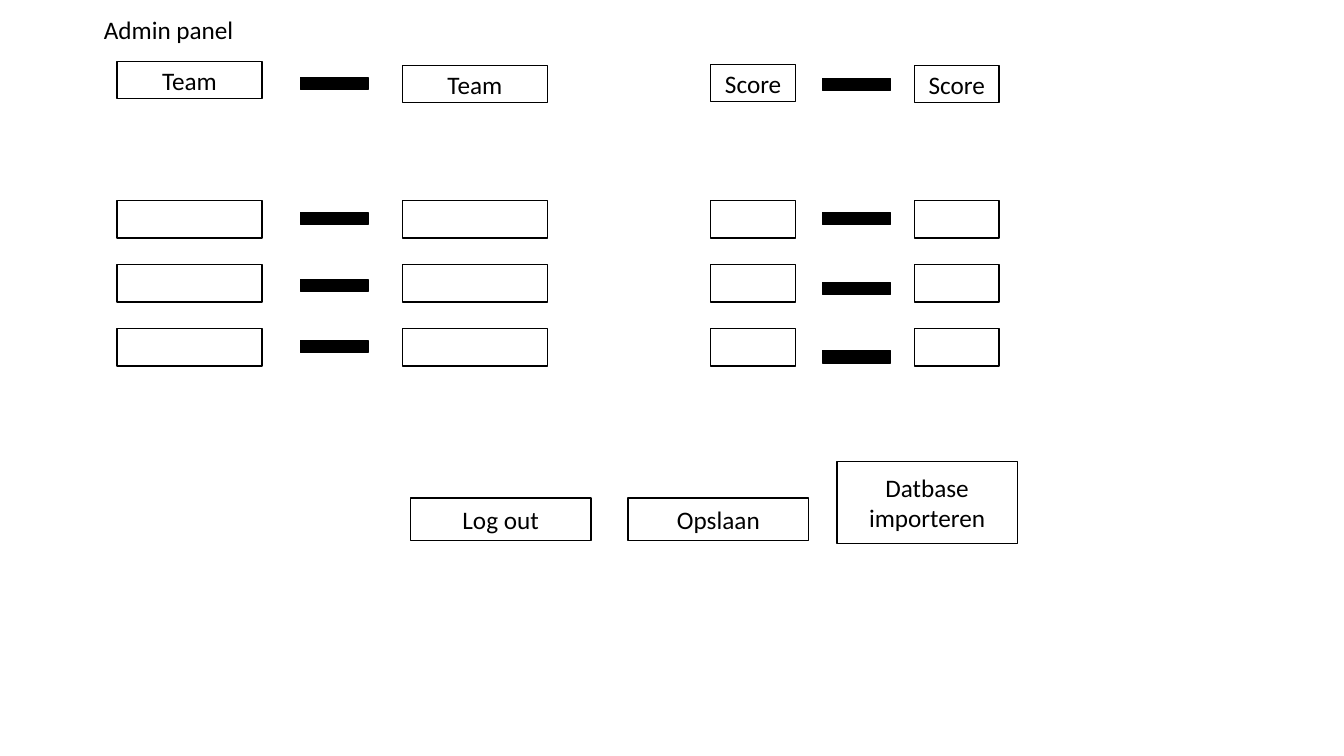
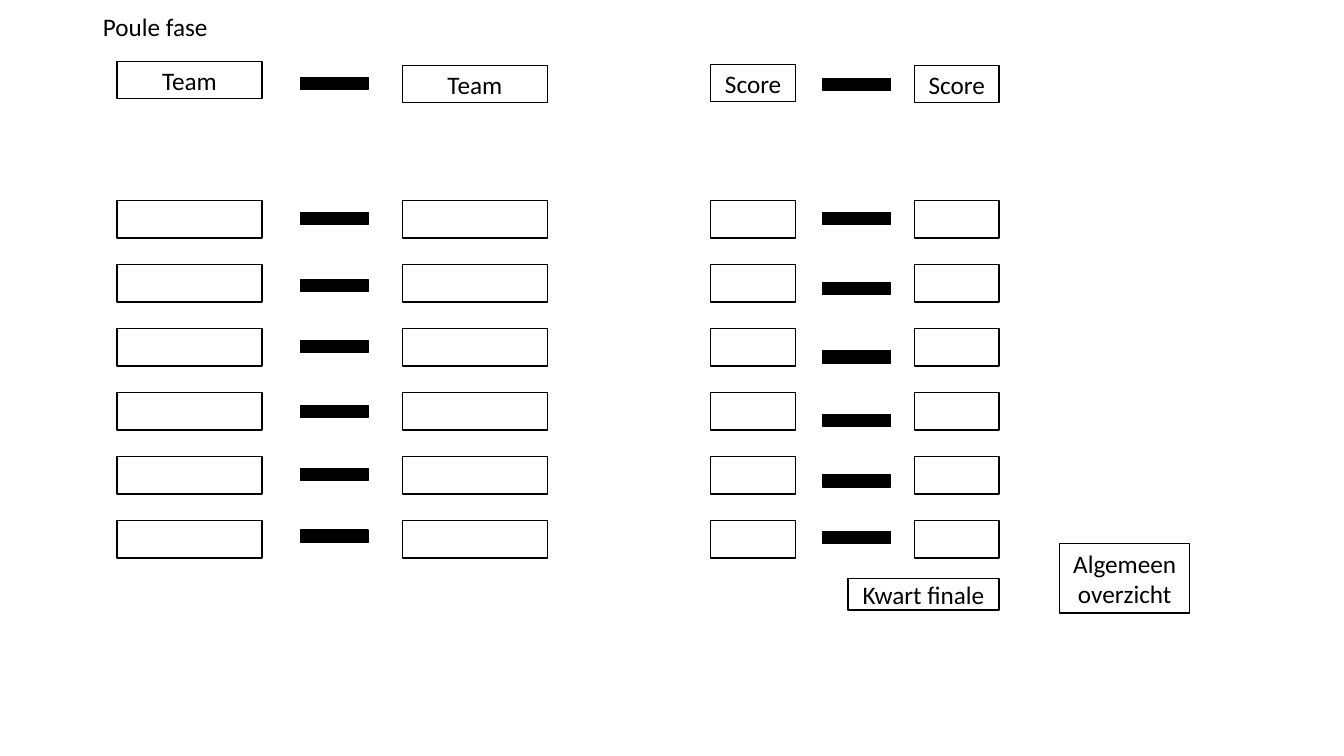
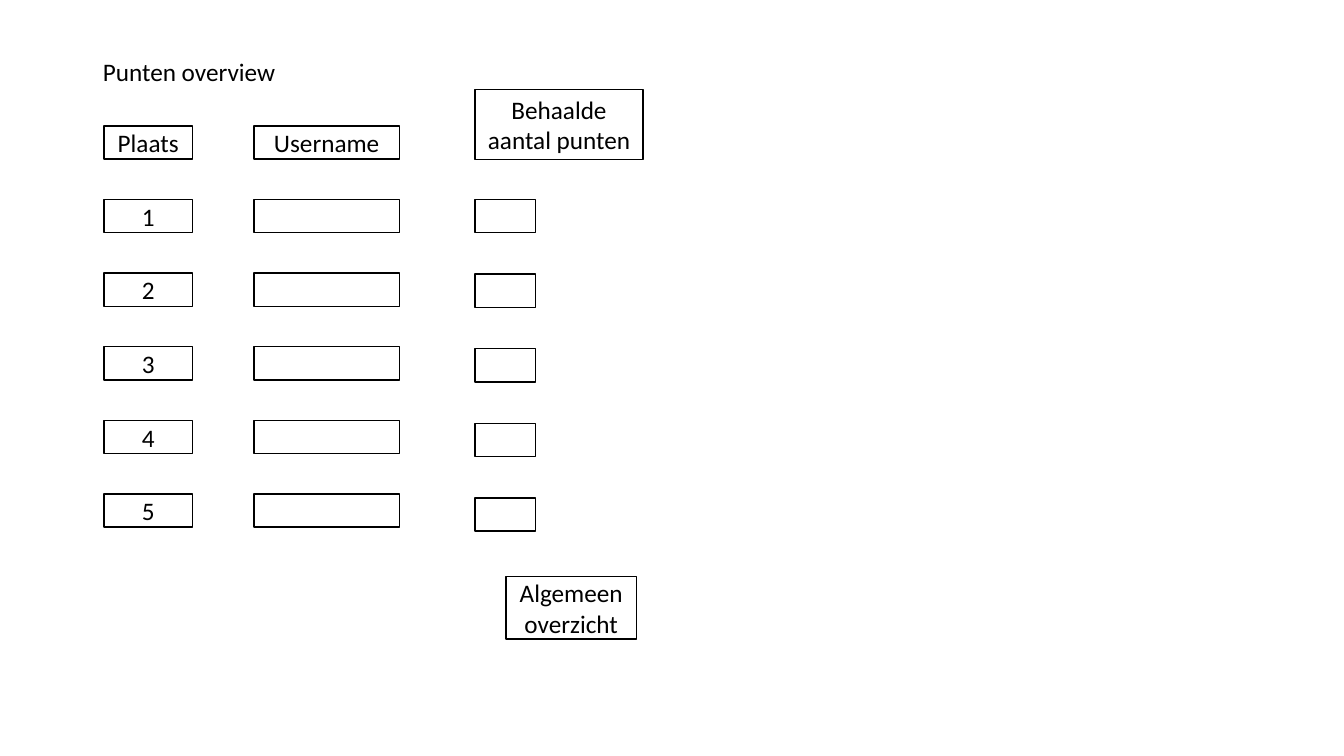
import pptx
import pptx.dml.color
import pptx.enum.shapes
import pptx.enum.text
import pptx.oxml.ns
import pptx.util
from lxml import etree

Inches = pptx.util.Inches
Pt = pptx.util.Pt
SHAPES = pptx.enum.shapes.MSO_SHAPE

# Shared style
BLACK = pptx.dml.color.RGBColor(0x00, 0x00, 0x00)
WHITE = pptx.dml.color.RGBColor(0xFF, 0xFF, 0xFF)
FONT = "Calibri"
TEXT_SIZE = Pt(18)

# Match list: column offset, width, header label, header top
MATCH_COLUMNS = [
    (0, 1.44, "Team", 0),
    (2.83, 1.44, "Team", 0.04),
    (5.89, 0.84, "Score", 0.03),
    (7.91, 0.84, "Score", 0.04),
]
# Dashes between the columns: column offset, top of each dash from the header down
DASH_COLUMNS = [
    (1.82, [0.16, 1.50, 2.16, 2.77, 3.41, 4.04, 4.65]),
    (7.00, [0.17, 1.50, 2.19, 2.87, 3.50, 4.10, 4.66]),
]
MATCH_HEIGHT = 0.37
MATCH_FIRST_ROW = 1.38
MATCH_PITCH = 0.635

# Ranking: column offset, cell width, row pitch, header label, header box
RANKING_COLUMNS = [
    (0, 0.88, 0.73, "Plaats", (0.36, 0.88, 0.33)),
    (1.49, 1.44, 0.73, "Username", (0.36, 1.44, 0.33)),
    (3.68, 0.60, 0.74, "Behaalde aantal punten", (0, 1.67, 0.69)),
]
RANKING_HEIGHT = 0.33
RANKING_FIRST_ROW = 1.09


def format_text(paragraph):
    paragraph.font.name = FONT
    paragraph.font.size = TEXT_SIZE
    paragraph.font.color.rgb = BLACK


def add_box(slide, left, top, width, height, label="", fill=WHITE, kind=SHAPES.RECTANGLE):
    shape = slide.shapes.add_shape(
        kind, Inches(left), Inches(top), Inches(width), Inches(height))
    shape.shadow.inherit = False
    shape.fill.solid()
    shape.fill.fore_color.rgb = fill
    shape.line.color.rgb = BLACK
    shape.line.width = Pt(1)
    if label:
        text_frame = shape.text_frame
        text_frame.word_wrap = True
        text_frame.vertical_anchor = pptx.enum.text.MSO_ANCHOR.MIDDLE
        paragraph = text_frame.paragraphs[0]
        paragraph.text = label
        paragraph.alignment = pptx.enum.text.PP_ALIGN.CENTER
        format_text(paragraph)


def add_button(slide, label, left, top, width, height):
    add_box(slide, left, top, width, height, label, kind=SHAPES.ACTION_BUTTON_CUSTOM)


def add_screen(presentation, heading, left, top, width, height):
    """Add a slide whose body placeholder holds the screen heading."""
    slide = presentation.slides.add_slide(presentation.slide_layouts[1])
    title = slide.shapes.title
    title.element.getparent().remove(title.element)
    body = slide.placeholders[1]
    body.left, body.top = Inches(left), Inches(top)
    body.width, body.height = Inches(width), Inches(height)
    body.text_frame.auto_size = pptx.enum.text.MSO_AUTO_SIZE.NONE
    paragraph = body.text_frame.paragraphs[0]
    paragraph.text = heading
    paragraph.line_spacing = 0.9
    paragraph.space_before = Pt(10)
    format_text(paragraph)
    # No bullet and no indent
    properties = paragraph._p.get_or_add_pPr()
    properties.set("marL", "0")
    properties.set("indent", "0")
    etree.SubElement(properties, pptx.oxml.ns.qn("a:buNone"))
    return slide


def add_match_list(slide, left, top, row_count):
    """Team and score columns with a header row and empty fields."""
    for offset, width, label, header_top in MATCH_COLUMNS:
        add_box(slide, left + offset, top + header_top, width, MATCH_HEIGHT, label)
        for row in range(row_count):
            row_top = top + MATCH_FIRST_ROW + row * MATCH_PITCH
            add_box(slide, left + offset, row_top, width, MATCH_HEIGHT)
    for offset, dash_tops in DASH_COLUMNS:
        for dash_top in dash_tops[:row_count + 1]:
            add_box(slide, left + offset, top + dash_top, 0.67, 0.12, fill=BLACK)


def add_ranking(slide, left, top, row_count):
    """Place, user name and points, with numbered rows."""
    for column, (offset, width, pitch, label, header) in enumerate(RANKING_COLUMNS):
        header_top, header_width, header_height = header
        add_box(slide, left + offset, top + header_top, header_width, header_height, label)
        for row in range(row_count):
            row_top = top + RANKING_FIRST_ROW + row * pitch
            place = str(row + 1) if column == 0 else ""
            add_box(slide, left + offset, row_top, width, RANKING_HEIGHT, place)


presentation = pptx.Presentation()
presentation.slide_width = Inches(13.33)
presentation.slide_height = Inches(7.5)

# Admin panel
slide = add_screen(presentation, "Admin panel", 0.93, 0.13, 11.5, 6.25)
add_match_list(slide, 1.16, 0.61, row_count=3)
add_button(slide, "Log out", 4.07, 4.94, 1.79, 0.42)
add_button(slide, "Opslaan", 6.23, 4.94, 1.79, 0.42)
add_button(slide, "Datbase importeren", 8.3, 4.58, 1.79, 0.81)

# Group stage
slide = add_screen(presentation, "Poule fase", 0.92, 0.1, 11.12, 6.06)
add_match_list(slide, 1.16, 0.61, row_count=6)
add_button(slide, "Kwart finale", 8.41, 5.74, 1.5, 0.31)
add_button(slide, "Algemeen overzicht", 10.51, 5.39, 1.29, 0.69)

# Points overview
slide = add_screen(presentation, "Punten overview", 0.92, 0.54, 11.5, 6.21)
add_ranking(slide, 1.03, 0.89, row_count=5)
add_button(slide, "Algemeen overzicht", 5.02, 5.72, 1.29, 0.62)

presentation.save("out.pptx")
